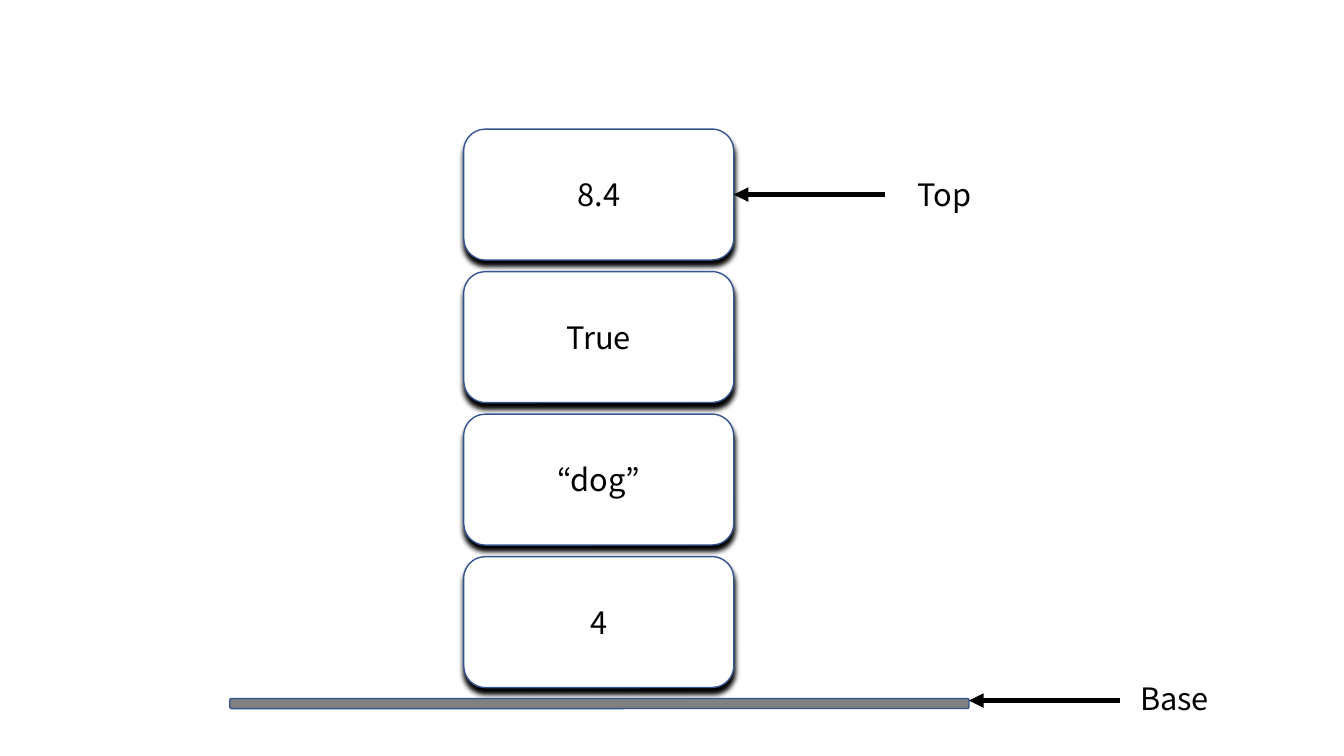
from typing import NamedTuple

from lxml import etree
from pptx import Presentation
from pptx.dml.color import RGBColor
from pptx.enum.shapes import MSO_CONNECTOR, MSO_SHAPE
from pptx.enum.text import MSO_ANCHOR, PP_ALIGN
from pptx.oxml.ns import qn
from pptx.util import Inches, Pt

WHITE = RGBColor(0xFF, 0xFF, 0xFF)
BLACK = RGBColor(0x00, 0x00, 0x00)
GRAY = RGBColor(0x80, 0x80, 0x80)
BLUE = RGBColor(0x32, 0x54, 0x91)

ROUND = MSO_SHAPE.ROUNDED_RECTANGLE
STRAIGHT = MSO_CONNECTOR.STRAIGHT
CENTER = PP_ALIGN.CENTER
MIDDLE = MSO_ANCHOR.MIDDLE

FONT = "Noto Sans CJK KR"
SIZE = Pt(22)
WIDE, HIGH = Inches(13.33), Inches(7.5)


class Area(NamedTuple):
    """Left, top, width and height in percent of the slide."""
    x: float
    y: float
    w: float
    h: float


class Pointer(NamedTuple):
    """An arrow tip and the label beside its tail."""
    text: str
    x: float
    y: float
    label: Area


# Layout in percent of the slide
ITEMS = ("8.4", "True", "“dog”", "4")
FIRST = Area(34.5, 17.07, 20.1, 17.33)
STEP = 18.85
BASE = Area(17.1, 92.4, 55, 1.33)
REACH = 11.25
POINTERS = (
    Pointer("Top", FIRST.x + FIRST.w, FIRST.y + FIRST.h / 2,
            Area(65.87, 22.53, 8.85, 6.27)),
    Pointer("Base", BASE.x + BASE.w, 92.67, Area(82.97, 89.2, 8.85, 6.27)),
)


def across(share: float) -> int:
    return int(WIDE * share / 100)


def down(share: float) -> int:
    return int(HIGH * share / 100)


def place(area: Area) -> tuple[int, int, int, int]:
    return across(area.x), down(area.y), across(area.w), down(area.h)


def write(frame, text: str) -> None:
    line = frame.paragraphs[0]
    line.alignment = CENTER
    run = line.add_run()
    run.text = text
    run.font.name = FONT
    run.font.size = SIZE
    run.font.color.rgb = BLACK


def draw_block(slide, area: Area, fill: RGBColor):
    block = slide.shapes.add_shape(ROUND, *place(area))
    block.shadow.inherit = False
    block.fill.solid()
    block.fill.fore_color.rgb = fill
    block.line.color.rgb = BLUE
    block.line.width = Pt(1)
    return block


def draw_item(slide, text: str, row: int) -> None:
    block = draw_block(slide, FIRST._replace(y=FIRST.y + row * STEP), WHITE)
    # Solid shadow straight below the block
    effects = block._element.spPr.find(qn("a:effectLst"))
    shade = etree.SubElement(effects, qn("a:outerShdw"), blurRad=str(Pt(4)),
                             dist=str(Pt(4)), dir="5400000", rotWithShape="0")
    etree.SubElement(shade, qn("a:srgbClr"), val=str(BLACK))
    block.text_frame.vertical_anchor = MIDDLE
    write(block.text_frame, text)


def draw_pointer(slide, mark: Pointer) -> None:
    arrow = slide.shapes.add_connector(
        STRAIGHT, across(mark.x + REACH), down(mark.y),
        across(mark.x), down(mark.y))
    arrow.line.color.rgb = BLACK
    arrow.line.width = Pt(3.5)
    etree.SubElement(arrow.line._get_or_add_ln(), qn("a:tailEnd"), type="triangle")
    etree.SubElement(arrow._element.spPr, qn("a:effectLst"))
    label = slide.shapes.add_textbox(*place(mark.label))
    label.text_frame.word_wrap = True
    write(label.text_frame, mark.text)


def main() -> None:
    deck = Presentation()
    deck.slide_width, deck.slide_height = WIDE, HIGH
    slide = deck.slides.add_slide(deck.slide_layouts[6])

    # Stack on its base
    for row, text in enumerate(ITEMS):
        draw_item(slide, text, row)
    draw_block(slide, BASE, GRAY)

    # Arrows with labels
    for mark in POINTERS:
        draw_pointer(slide, mark)

    deck.save("out.pptx")


if __name__ == "__main__":
    main()
